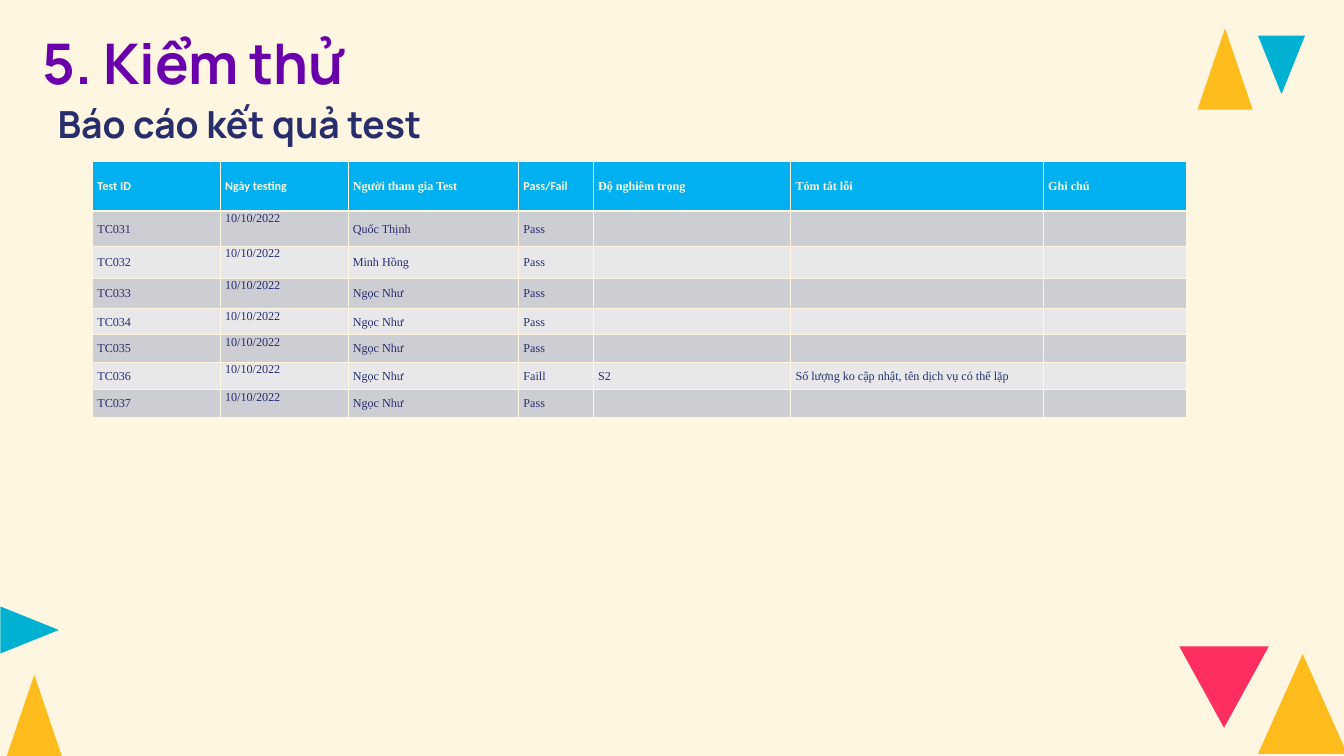
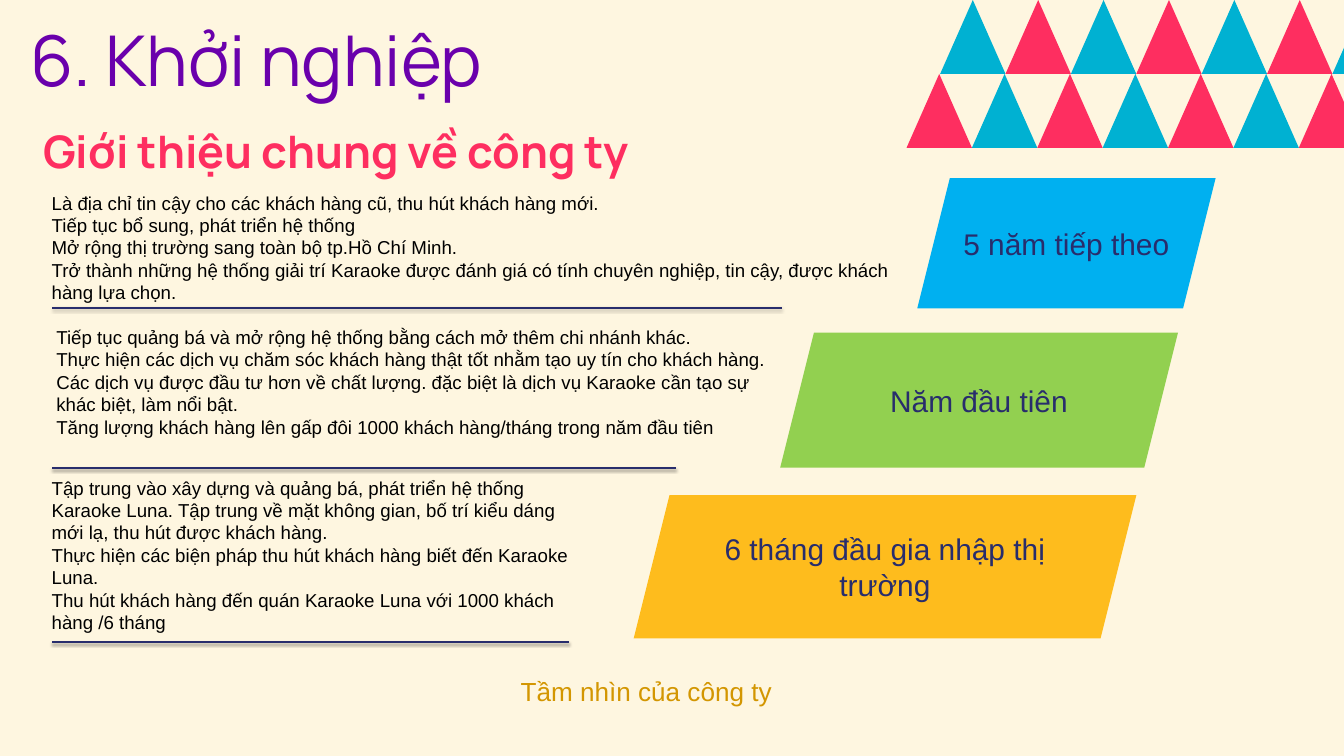
from lxml import etree
from pptx import Presentation
from pptx.dml.color import RGBColor
from pptx.enum import shapes, text
from pptx.oxml import parse_xml
from pptx.oxml.ns import nsdecls, qn
from pptx.util import Inches, Pt

CREAM, NAVY, PURPLE = "FEF6E0", "282D6C", "6A00AC"
TEAL, PINK, YELLOW = "00B1D2", "FE2E60", "FEBC1D"
SKY, GREEN, GOLD, BLACK = "00B0F0", "92D050", "D39601", "000000"
BANDS = ("CDCDD4", "E8E8EB")
HEADING_FONT, BODY_FONT, TABLE_FONT = "Manrope", "Arial", "Times New Roman"

# Test report: heading, width, font
TABLE_COLUMNS = [
    ("Test ID", 1.9, "Calibri"),
    ("Ngày testing", 1.9, "Calibri"),
    ("Người tham gia Test", 2.54, TABLE_FONT),
    ("Pass/Fail", 1.11, "Calibri"),
    ("Độ nghiêm trọng", 2.94, TABLE_FONT),
    ("Tóm tắt lỗi", 3.76, TABLE_FONT),
    ("Ghi chú", 2.12, TABLE_FONT),
]
TEST_DATE, DATE_COLUMN = "10/10/2022", 1
TEST_RUNS = [
    ("TC031", "Quốc Thịnh", "Pass"),
    ("TC032", "Minh Hồng", "Pass"),
    ("TC033", "Ngọc Như", "Pass"),
    ("TC034", "Ngọc Như", "Pass"),
    ("TC035", "Ngọc Như", "Pass"),
    ("TC036", "Ngọc Như", "Faill", "S2", "Số lượng ko cập nhật, tên dịch vụ có thể lặp"),
    ("TC037", "Ngọc Như", "Pass"),
]
ROW_HEIGHTS = [0.74, 0.52, 0.48, 0.45, 0.39, 0.41, 0.41, 0.41]

# Left, top, width, height, rotation, colour
CORNER_TRIANGLES = [
    (18.72, 9.73, 1.33, 1.49, 0, YELLOW),
    (17.55, 9.62, 1.33, 1.21, 180, PINK),
    (17.82, 0.42, 0.82, 1.21, 0, YELLOW),
    (18.72, 0.53, 0.7, 0.87, 180, TEAL),
    (0.1, 10.04, 0.82, 1.21, 0, YELLOW),
    (0.09, 8.94, 0.7, 0.87, 90, TEAL),
]

# Pennant rows: left edge, alternating colours
PENNANT_ROWS = [(13.99, (TEAL, PINK)), (13.49, (PINK, TEAL))]
PENNANT_COUNT, PENNANT_WIDTH, PENNANT_HEIGHT = 7, 0.973, 1.1

VISION_STAGES = [
    {
        "label": "5 năm tiếp theo", "colour": SKY, "step": (13.65, 2.65, 4.44, 1.94),
        "goal_box": (0.67, 2.8, 12.82, 1.78), "rule": (4.58, 11.63),
        "goals": [
            "Là địa chỉ tin cậy cho các khách hàng cũ, thu hút khách hàng mới.",
            "Tiếp tục bổ sung, phát triển hệ thống",
            "Mở rộng thị trường sang toàn bộ tp.Hồ Chí Minh.",
            "Trở thành những hệ thống giải trí Karaoke được đánh giá có tính chuyên nghiệp, "
            "tin cậy, được khách hàng lựa chọn.",
        ],
    },
    {
        "label": "Năm đầu tiên", "colour": GREEN, "step": (11.61, 4.95, 5.92, 2.01),
        "goal_box": (0.74, 4.8, 10.88, 2.12), "rule": (6.97, 10.06),
        "goals": [
            "Tiếp tục quảng bá và mở rộng hệ thống bằng cách mở thêm chi nhánh khác.",
            "Thực hiện các dịch vụ chăm sóc khách hàng thật tốt nhằm tạo uy tín cho khách hàng.",
            "Các dịch vụ được đầu tư hơn về chất lượng. đặc biệt là dịch vụ Karaoke cần tạo sự "
            "khác biệt, làm nổi bật.",
            "Tăng lượng khách hàng lên gấp đôi 1000 khách hàng/tháng trong năm đầu tiên",
        ],
    },
    {
        "label": "6 tháng đầu gia nhập thị trường", "colour": YELLOW,
        "step": (9.43, 7.37, 7.48, 2.13),
        "goal_box": (0.67, 7.04, 8.08, 2.79), "rule": (9.55, 8.47),
        "goals": [
            "Tập trung vào xây dựng và quảng bá, phát triển hệ thống Karaoke Luna. Tập trung về "
            "mặt không gian, bố trí kiểu dáng mới lạ, thu hút được khách hàng.",
            "Thực hiện các biện pháp thu hút khách hàng biết đến Karaoke Luna.",
            "Thu hút khách hàng đến quán Karaoke Luna với 1000 khách hàng /6 tháng",
        ],
    },
]
RULE_LEFT = 0.78


def rgb(colour):
    return RGBColor.from_string(colour)


def inches(*lengths):
    return [Inches(length) for length in lengths]


def set_font(para, name, size, colour, bold=False):
    font = para.font
    font.name, font.size, font.bold = name, Pt(size), bold
    font.color.rgb = rgb(colour)


def write(frame, lines, name, size, colour, bold=False, align=text.PP_ALIGN.LEFT,
          spacing=None, indent=0, inset=None):
    """Fill a text frame with one paragraph per line, all in one style."""
    if inset is not None:
        frame.margin_left = frame.margin_right = Inches(inset)
        frame.margin_top = frame.margin_bottom = Inches(inset)
    for index, line in enumerate(lines):
        para = frame.paragraphs[0] if index == 0 else frame.add_paragraph()
        para.text = line
        para.alignment = align
        if spacing:
            para.line_spacing = spacing
        if indent:
            properties = para._p.get_or_add_pPr()
            properties.set("marL", str(Inches(indent)))
            properties.set("indent", "0")
        set_font(para, name, size, colour, bold)


def add_text(slide, place, lines, *style, wrap=True, **layout):
    frame = slide.shapes.add_textbox(*inches(*place)).text_frame
    frame.word_wrap = wrap
    write(frame, lines, *style, **layout)


def set_title(slide, place, title, size, **layout):
    holder = slide.shapes.title
    holder.left, holder.top, holder.width, holder.height = inches(*place)
    frame = holder.text_frame
    frame.word_wrap = True
    frame.auto_size = text.MSO_AUTO_SIZE.NONE
    frame.vertical_anchor = text.MSO_ANCHOR.TOP
    write(frame, [title], HEADING_FONT, size, PURPLE, spacing=1.2, **layout)


def add_filled(slide, kind, place, colour, rotation=0):
    shape = slide.shapes.add_shape(kind, *inches(*place))
    shape.rotation = rotation
    shape.shadow.inherit = False
    shape.fill.solid()
    shape.fill.fore_color.rgb = rgb(colour)
    shape.line.fill.background()
    return shape


def add_triangle(slide, place, colour, rotation=0):
    add_filled(slide, shapes.MSO_SHAPE.ISOSCELES_TRIANGLE, place, colour, rotation)


def add_shadowed_rule(slide, top, right):
    rule = slide.shapes.add_connector(
        shapes.MSO_CONNECTOR.STRAIGHT, *inches(RULE_LEFT, top, right, top))
    rule.line.color.rgb = rgb(NAVY)
    rule.line.width = Pt(2)
    rule._element.spPr.append(parse_xml(
        f'<a:effectLst {nsdecls("a")}><a:outerShdw blurRad="{Pt(3.1)}" dist="{Pt(1.6)}" '
        f'dir="5400000" rotWithShape="0"><a:srgbClr val="{BLACK}"><a:alpha val="38000"/>'
        '</a:srgbClr></a:outerShdw></a:effectLst>'))


def set_borders(cell, top, bottom):
    """Draw cream borders; top and bottom give those widths in points."""
    properties = cell._tc.get_or_add_tcPr()
    for side, width in (("L", 1), ("R", 1), ("T", top), ("B", bottom)):
        line = etree.SubElement(properties, qn(f"a:ln{side}"), w=str(Pt(width)))
        fill = etree.SubElement(line, qn("a:solidFill"))
        etree.SubElement(fill, qn("a:srgbClr"), val=CREAM)


def add_report_table(slide):
    headings, widths, heading_fonts = zip(*TABLE_COLUMNS)
    rows = [headings] + [(run[0], TEST_DATE, *run[1:]) for run in TEST_RUNS]
    table = slide.shapes.add_table(
        len(rows), len(headings),
        *inches(1.38, 2.4, sum(widths), sum(ROW_HEIGHTS))).table
    for column, width in zip(table.columns, widths):
        column.width = Inches(width)
    for r, values in enumerate(rows):
        is_head = r == 0
        table.rows[r].height = Inches(ROW_HEIGHTS[r])
        for c, heading_font in enumerate(heading_fonts):
            cell = table.cell(r, c)
            set_borders(cell, 3 if r == 1 else 1, 3 if is_head else 1)
            cell.fill.solid()
            cell.fill.fore_color.rgb = rgb(SKY if is_head else BANDS[(r - 1) % 2])
            cell.margin_left = cell.margin_right = Inches(0.07)
            cell.margin_top = cell.margin_bottom = 0
            is_date = c == DATE_COLUMN and not is_head
            cell.vertical_anchor = text.MSO_ANCHOR.TOP if is_date else text.MSO_ANCHOR.MIDDLE
            para = cell.text_frame.paragraphs[0]
            if c < len(values):
                para.text = values[c]
                para.line_spacing = 1.07
                para.space_after = Pt(8)
            set_font(para, heading_font if is_head else TABLE_FONT, 13,
                     CREAM if is_head else NAVY, is_head)


def build_test_report(slide):
    set_title(slide, (0, 0.18, 6.66, 1.21), "5. Kiểm thử", 60, bold=True, indent=0.53)
    add_text(slide, (0.23, 1.32, 11.63, 0.84), ["Báo cáo kết quả test"],
             HEADING_FONT, 40, NAVY, True, spacing=1.2, indent=0.53)
    for *place, rotation, colour in CORNER_TRIANGLES:
        add_triangle(slide, place, colour, rotation)
    add_report_table(slide)


def build_startup_vision(slide):
    for row, (left, colours) in enumerate(PENNANT_ROWS):
        for i in range(PENNANT_COUNT):
            place = (left + i * PENNANT_WIDTH, row * PENNANT_HEIGHT,
                     PENNANT_WIDTH, PENNANT_HEIGHT)
            add_triangle(slide, place, colours[i % 2])
    set_title(slide, (0.45, 0, 8.42, 1.51), "6. Khởi nghiệp", 75, inset=0)
    add_text(slide, (0.64, 1.6, 10.82, 1.05), ["Giới thiệu chung về công ty"],
             HEADING_FONT, 48, PINK, True, spacing=1.3, inset=0)
    for stage in VISION_STAGES:
        step = add_filled(slide, shapes.MSO_SHAPE.PARALLELOGRAM, stage["step"], stage["colour"])
        step.text_frame.vertical_anchor = text.MSO_ANCHOR.MIDDLE
        write(step.text_frame, [stage["label"]], BODY_FONT, 32, NAVY,
              align=text.PP_ALIGN.CENTER)
        add_shadowed_rule(slide, *stage["rule"])
        add_text(slide, stage["goal_box"], stage["goals"], BODY_FONT, 20, BLACK)
    add_text(slide, (7.65, 10, 3.98, 0.57), ["Tầm nhìn của công ty"],
             BODY_FONT, 28, GOLD, wrap=False)


def main():
    deck = Presentation()
    deck.slide_width, deck.slide_height = inches(20, 11.25)
    background = deck.slide_master.background.fill
    background.solid()
    background.fore_color.rgb = rgb(CREAM)
    title_only = deck.slide_layouts.get_by_name("Title Only")
    for build in (build_test_report, build_startup_vision):
        build(deck.slides.add_slide(title_only))
    deck.save("out.pptx")


if __name__ == "__main__":
    main()
